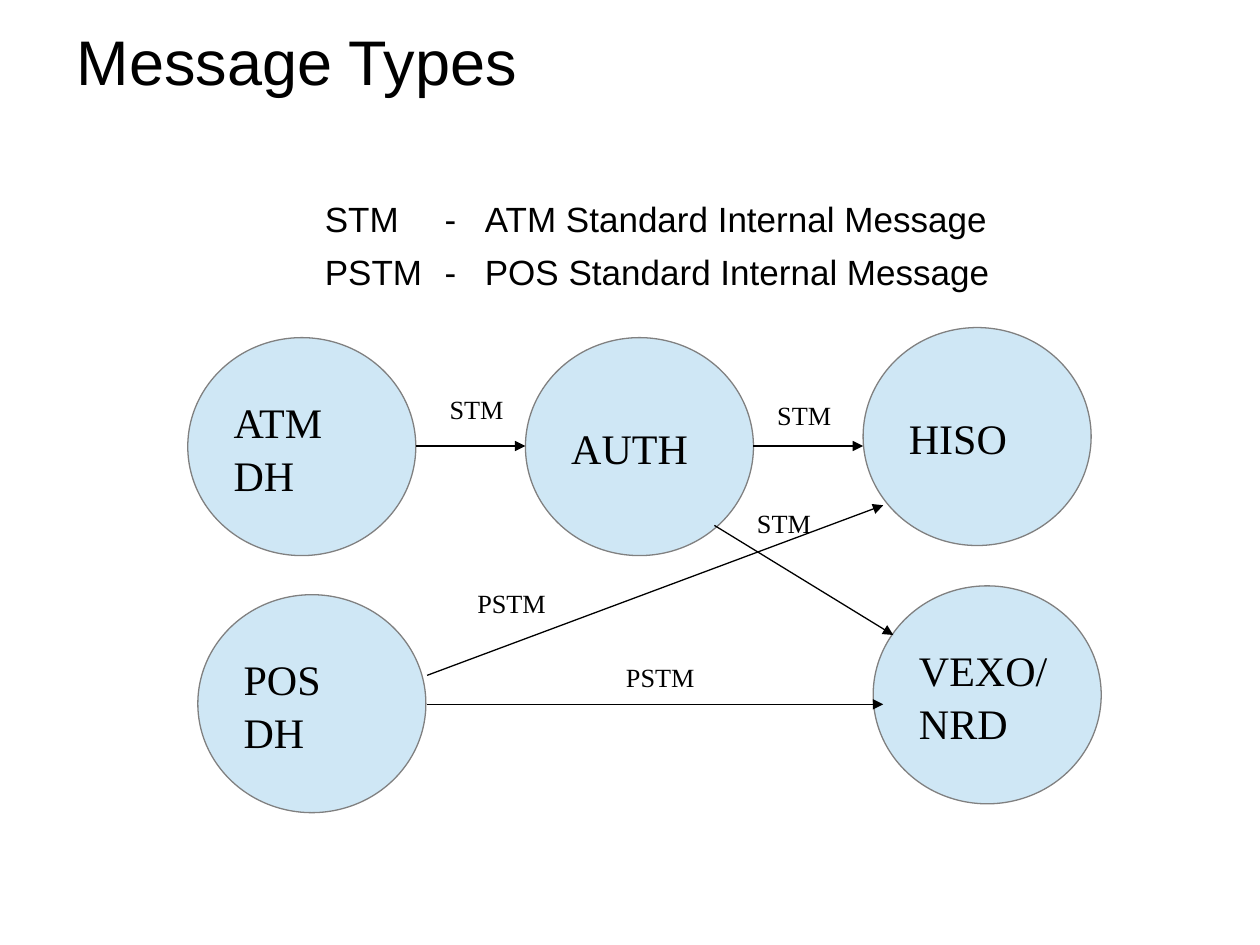
"""Build the Message Types slide: a legend above a flow of five message nodes."""
import pptx
import pptx.dml.color
import pptx.enum.shapes
import pptx.enum.text
import pptx.oxml.ns
import pptx.util
from lxml import etree

Inches = pptx.util.Inches
Pt = pptx.util.Pt
ANCHOR = pptx.enum.text.MSO_ANCHOR

TITLE = "Message Types"
LEGEND = [
    ("STM", "ATM Standard Internal Message"),
    ("PSTM", "POS Standard Internal Message"),
]
LEGEND_TABS = [0.95, 1.27]
NODE_SIZE = (1.81, 1.73)
NODES = [
    ("ATM DH", 1.49, 2.68),
    ("AUTH", 4.17, 2.68),
    ("HISO", 6.85, 2.6),
    ("VEXO/NRD", 6.93, 4.65),
    ("POS DH", 1.57, 4.72),
]
FLOWS = [
    (3.3, 3.54, 4.17, 3.54),
    (5.98, 3.54, 6.85, 3.54),
    (3.39, 5.59, 7.01, 5.59),
    (3.39, 5.36, 7.01, 4.01),
    (5.67, 4.17, 7.09, 5.04),
]
FLOW_LABELS = [
    ("STM", 5.91, 3.98, 0.63),
    ("STM", 3.47, 3.07, 0.63),
    ("STM", 6.07, 3.12, 0.63),
    ("PSTM", 3.69, 4.61, 1.03),
    ("PSTM", 4.87, 5.2, 1.03),
]


def color(value):
    return pptx.dml.color.RGBColor.from_string(value)


def add_child(parent, tag, **attributes):
    return etree.SubElement(parent, pptx.oxml.ns.qn(tag), attributes)


def style(paragraph, size, font):
    paragraph.alignment = pptx.enum.text.PP_ALIGN.LEFT
    paragraph.font.size = Pt(size)
    paragraph.font.name = font
    paragraph.font.color.rgb = color("000000")


def write(shape, lines, size, font, anchor=ANCHOR.TOP, tabs=(), gap=0, spacing=None):
    frame = shape.text_frame
    frame.word_wrap = True
    frame.vertical_anchor = anchor
    for index, line in enumerate(lines):
        paragraph = frame.add_paragraph() if index else frame.paragraphs[0]
        paragraph.text = line
        if index:
            paragraph.space_before = Pt(gap)
        if spacing:
            paragraph.line_spacing = spacing
        if tabs:
            tab_list = add_child(paragraph._p.get_or_add_pPr(), "a:tabLst")
            for tab in tabs:
                add_child(tab_list, "a:tab", pos=str(Inches(tab)), algn="l")
        style(paragraph, size, font)


def add_text(slide, box, lines, size, font, **options):
    write(slide.shapes.add_textbox(*map(Inches, box)), lines, size, font, **options)


def add_node(slide, label, left, top):
    node = slide.shapes.add_shape(
        pptx.enum.shapes.MSO_SHAPE.OVAL, *map(Inches, (left, top, *NODE_SIZE)))
    node.shadow.inherit = False
    node.fill.solid()
    node.fill.fore_color.rgb = color("CFE7F5")
    node.line.color.rgb = color("808080")
    node.line.width = Pt(0.75)
    write(node, [label], 24, "Times New Roman", anchor=ANCHOR.MIDDLE, spacing=1.05)


def add_flow(slide, ends):
    flow = slide.shapes.add_connector(
        pptx.enum.shapes.MSO_CONNECTOR.STRAIGHT, *map(Inches, ends))
    flow.line.color.rgb = color("000000")
    flow.line.width = Pt(0.75)
    add_child(flow.line._get_or_add_ln(), "a:tailEnd", type="triangle")
    add_child(flow._element.spPr, "a:effectLst")


def main():
    deck = pptx.Presentation()
    deck.slide_width, deck.slide_height = Inches(10), Inches(7.5)
    slide = deck.slides.add_slide(deck.slide_layouts[6])

    add_text(slide, (0.51, -0.04, 8.98, 1.04), [TITLE], 36, "Arial", anchor=ANCHOR.MIDDLE)
    legend_lines = [f"{term}\t-\t{meaning}" for term, meaning in LEGEND]
    add_text(slide, (2.48, 1.52, 6.23, 1.66), legend_lines, 20, "Arial",
             tabs=LEGEND_TABS, gap=6)
    for node in NODES:
        add_node(slide, *node)
    for ends in FLOWS:
        add_flow(slide, ends)
    for label, left, top, width in FLOW_LABELS:
        add_text(slide, (left, top, width, 0.35), [label], 15, "Times New Roman")

    deck.save("out.pptx")


if __name__ == "__main__":
    main()
